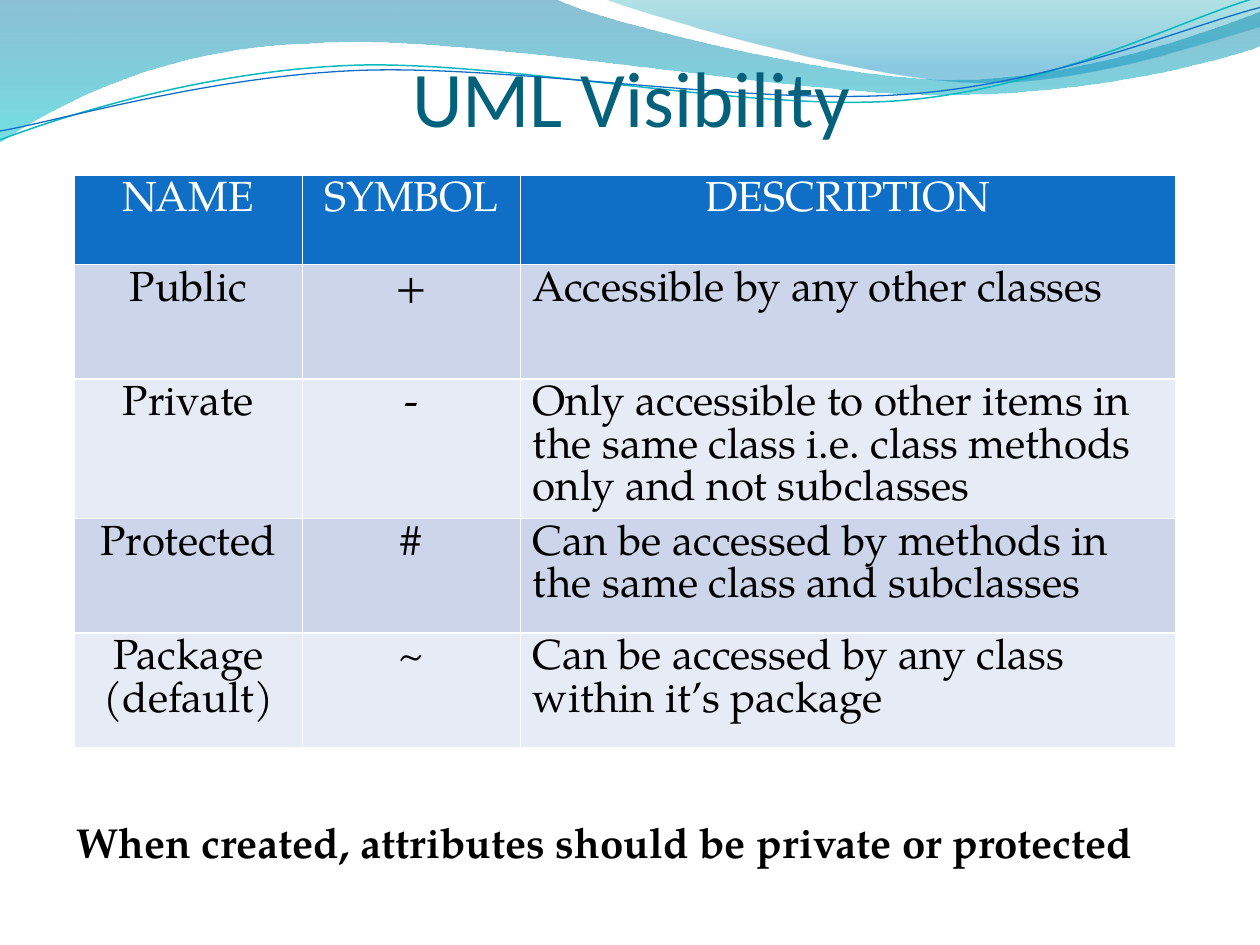
from lxml.etree import SubElement
from pptx import Presentation
from pptx.dml.color import RGBColor
from pptx.enum.text import MSO_ANCHOR, MSO_AUTO_SIZE, PP_ALIGN
from pptx.oxml.ns import qn
from pptx.util import Inches, Pt

COLORS = {
    "title": "04617B", "text": "000000", "white": "FFFFFF", "header": "0F6FC6",
    "band_dark": "CCD5EA", "band_light": "E7EBF5",
    "teal_line": "0AB8BF", "blue_line": "0F6FC6",
    "left_top": "0074A1", "left_bottom": "00C6CF",
    "right_top": "00A1A9", "right_bottom": "008BBF",
}
BODY_FONT = "TeX Gyre Pagella"

# Wave outlines: a start point, then points (x, y) or cubic curves
# (control 1, control 2, end), all in inches.
LEFT_WAVE = [
    (0, 0), (4.4, -0.01),
    (4.76, 0.17, 6.64, 0.63, 7.58, 0.63), (8.53, 0.63, 9.58, 0.26, 10, 0.09),
    (10.01, 0.36),
    (9.83, 0.44, 8.7, 0.76, 7.46, 0.75), (6.22, 0.75, 3.82, 0.28, 2.57, 0.34),
    (1.29, 0.36, 0.46, 0.83, -0.01, 1.13),
]
RIGHT_WAVE = [
    (4.79, -0.01),
    (5.09, 0.11, 6.82, 0.62, 7.69, 0.65), (8.56, 0.69, 9.61, 0.32, 10, 0.21),
    (10, 0),
]
TEAL_CURVE = [
    (0, 1.11),
    (0.48, 0.93, 1.58, 0.57, 2.77, 0.52), (3.95, 0.47, 5.93, 0.89, 7.13, 0.8),
    (8.33, 0.71, 9.38, 0.15, 9.98, -0.02),
]
BLUE_CURVE = [
    (0, 1.04),
    (0.47, 0.96, 1.64, 0.61, 2.83, 0.56), (4.03, 0.51, 5.97, 0.84, 7.17, 0.75),
    (8.36, 0.67, 9.41, 0.21, 10, 0.06),
]

VISIBILITY_ROWS = [
    ("NAME", "SYMBOL", "DESCRIPTION"),
    ("Public", "+", "Accessible by any other classes"),
    ("Private", "-", "Only accessible to other items in the same class "
                     "i.e. class methods only and not subclasses"),
    ("Protected", "#", "Can be accessed by methods in the same class and subclasses"),
    ("Package (default)", "~", "Can be accessed by any class within it’s package"),
]
COLUMN_WIDTHS = (1.81, 1.73, 5.2)
ROW_HEIGHTS = (0.71, 0.91, 0.91, 0.91, 0.91)


def color(name):
    return RGBColor.from_string(COLORS[name])


def write_text(text_frame, text, size=24, font=BODY_FONT, fill="text",
               bold=False, align=PP_ALIGN.LEFT):
    paragraph = text_frame.paragraphs[0]
    paragraph.alignment = align
    run = paragraph.add_run()
    run.text = text
    run.font.size = Pt(size)
    run.font.name = font
    run.font.bold = bold
    run.font.color.rgb = color(fill)


def add_outline(slide, outline, close):
    points = [(Inches(segment[-2]), Inches(segment[-1])) for segment in outline]
    builder = slide.shapes.build_freeform(*points[0])
    builder.add_line_segments(points[1:], close=close)
    shape = builder.convert_to_shape()
    shape.shadow.inherit = False
    # Bend the straight segments that have control points
    lines = list(shape._element.iter(qn("a:lnTo")))
    for line, segment in zip(lines, outline[1:]):
        if len(segment) == 2:
            continue
        curve = line.makeelement(qn("a:cubicBezTo"))
        for x, y in zip(segment[::2], segment[1::2]):
            SubElement(curve, qn("a:pt"), x=str(Inches(x) - shape.left),
                       y=str(Inches(y) - shape.top))
        line.getparent().replace(line, curve)
    return shape


def add_wave(slide, outline, stops):
    """Add a filled wave; stops hold position, colour and opacity in percent."""
    shape = add_outline(slide, outline, close=True)
    shape.line.fill.background()
    shape.fill.gradient()
    shape.fill.gradient_angle = 270
    for stop, (position, color_name, _) in zip(shape.fill.gradient_stops, stops):
        stop.position = position
        stop.color.rgb = color(color_name)
    color_elements = shape._element.spPr.iter(qn("a:srgbClr"))
    for element, (_, _, opacity) in zip(color_elements, stops):
        SubElement(element, qn("a:alpha"), val=str(opacity * 1000))


def add_curve(slide, outline, line_color, width):
    shape = add_outline(slide, outline, close=False)
    shape.fill.background()
    shape.line.color.rgb = color(line_color)
    shape.line.width = Pt(width)


def add_visibility_table(slide):
    table = slide.shapes.add_table(
        len(VISIBILITY_ROWS), len(COLUMN_WIDTHS), Inches(0.59), Inches(1.39),
        Inches(sum(COLUMN_WIDTHS)), Inches(sum(ROW_HEIGHTS))).table
    for column, width in zip(table.columns, COLUMN_WIDTHS):
        column.width = Inches(width)
    for row_index, texts in enumerate(VISIBILITY_ROWS):
        table.rows[row_index].height = Inches(ROW_HEIGHTS[row_index])
        is_header = row_index == 0
        band = "band_dark" if row_index % 2 else "band_light"
        for column_index, text in enumerate(texts):
            cell = table.cell(row_index, column_index)
            cell.fill.solid()
            cell.fill.fore_color.rgb = color("header" if is_header else band)
            centered = is_header or column_index < 2
            write_text(cell.text_frame, text,
                       fill="white" if is_header else "text",
                       align=PP_ALIGN.CENTER if centered else PP_ALIGN.LEFT)


def format_title(slide, text):
    title = slide.shapes.title
    title.left, title.top = Inches(0.51), Inches(0.36)
    title.width, title.height = Inches(9), Inches(0.78)
    frame = title.text_frame
    frame.auto_size = MSO_AUTO_SIZE.NONE
    frame.vertical_anchor = MSO_ANCHOR.BOTTOM
    frame.margin_left = frame.margin_right = frame.margin_bottom = 0
    frame.margin_top = Inches(0.05)
    write_text(frame, text, size=45, font="Calibri", fill="title",
               align=PP_ALIGN.CENTER)
    # Bring the title in front of the waves
    slide.shapes._spTree.append(title._element)


def add_note(slide, text):
    box = slide.shapes.add_textbox(Inches(0.51), Inches(6.43), Inches(8.9), Inches(0.5))
    box.text_frame.word_wrap = True
    box.text_frame.auto_size = MSO_AUTO_SIZE.SHAPE_TO_FIT_TEXT
    write_text(box.text_frame, text, bold=True)


def main():
    presentation = Presentation()
    presentation.slide_width, presentation.slide_height = Inches(10), Inches(7.5)
    slide = presentation.slides.add_slide(presentation.slide_layouts[5])

    # Waves along the top edge
    add_wave(slide, LEFT_WAVE, [(0, "left_top", 45), (1, "left_bottom", 55)])
    add_wave(slide, RIGHT_WAVE, [(0, "right_top", 30), (0.8, "right_bottom", 45)])
    add_curve(slide, TEAL_CURVE, "teal_line", 0.85)
    add_curve(slide, BLUE_CURVE, "blue_line", 0.75)

    # Content
    format_title(slide, "UML Visibility")
    add_visibility_table(slide)
    add_note(slide, "When created, attributes should be private or protected")
    presentation.save("out.pptx")


if __name__ == "__main__":
    main()
